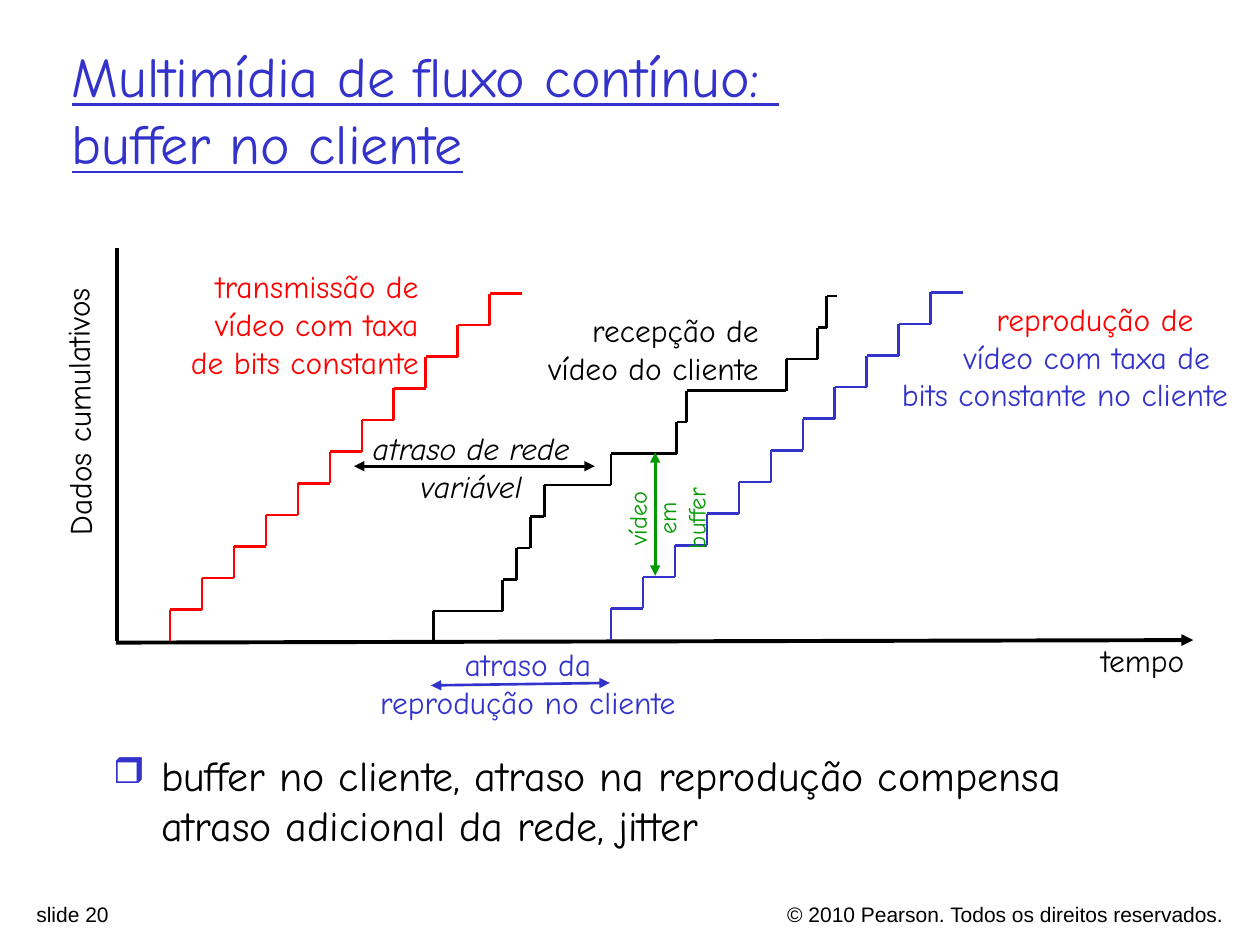
from lxml.etree import SubElement
from pptx import Presentation
from pptx.dml.color import RGBColor
from pptx.enum.shapes import MSO_CONNECTOR
from pptx.enum.text import MSO_ANCHOR, MSO_AUTO_SIZE, PP_ALIGN
from pptx.oxml.ns import qn
from pptx.util import Inches, Pt

BLACK, RED, BLUE, GREEN = "000000", "FF0000", "3333CC", "009900"
STEPS = 11


def paint(color):
    return RGBColor.from_string(color)


def write(para, text, size=18, color=BLACK, font="Comic Neue", align=PP_ALIGN.LEFT,
          italic=False, under=False, indent=0):
    para.text = text
    para.alignment = align
    if indent:
        para._p.get_or_add_pPr().set("marL", str(Inches(indent)))
    for run in para.runs:
        face = run.font
        face.name, face.size = font, Pt(size)
        face.italic, face.underline = italic, under
        face.color.rgb = paint(color)


def label(slide, area, *lines, wrap=False, angle=0, **style):
    box = slide.shapes.add_textbox(*map(Inches, area))
    box.rotation = angle
    frame = box.text_frame
    frame.word_wrap = wrap
    frame.auto_size = MSO_AUTO_SIZE.SHAPE_TO_FIT_TEXT
    for i, line in enumerate(lines):
        para = frame.add_paragraph() if i else frame.paragraphs[0]
        write(para, line, **style)
    return frame


def stroke(shapes, start, end, color=BLACK, width=1.5, tips=()):
    line = shapes.add_connector(MSO_CONNECTOR.STRAIGHT, *map(Inches, start + end))
    line.line.color.rgb = paint(color)
    line.line.width = Pt(width)
    for tip in tips:
        SubElement(line.line._ln, qn(f"a:{tip}End"), type="triangle")
    SubElement(line._element.spPr, qn("a:effectLst"))


def stairs(slide, marks, base, top, color):
    shapes = slide.shapes.add_group_shape().shapes
    rise = (base - top) / STEPS
    for i, (left, right) in enumerate(zip(marks, marks[1:])):
        low = base - i * rise
        high = low - rise
        stroke(shapes, (left, high), (left, low), color)
        stroke(shapes, (right, high), (left, high), color)


def even(first, last):
    return [first + (last - first) * i / STEPS for i in range(STEPS + 1)]


def head(slide):
    title = slide.shapes.title
    title.left, title.top, title.width, title.height = map(Inches, (0.47, 0.39, 8.93, 0.95))
    frame = title.text_frame
    frame.auto_size = MSO_AUTO_SIZE.NONE
    frame.vertical_anchor = MSO_ANCHOR.MIDDLE
    write(frame.paragraphs[0], "Multimídia de fluxo contínuo: \nbuffer no cliente",
          size=32, color=BLUE, under=True)


def bullet(slide):
    frame = label(slide, (0.8, 5.9, 8.5, 0.97), wrap=True)
    para = frame.paragraphs[0]
    props = para._p.get_or_add_pPr()
    props.set("marL", str(Inches(0.38)))
    props.set("indent", str(Inches(-0.38)))
    SubElement(SubElement(props, qn("a:buClr")), qn("a:srgbClr"), val=BLUE)
    SubElement(props, qn("a:buSzPct"), val="85000")
    SubElement(props, qn("a:buChar"), char="❒")
    write(para, "buffer no cliente, atraso na reprodução compensa "
          "atraso adicional da rede, jitter", size=24)


def chart(slide):
    shapes = slide.shapes
    both = ("head", "tail")
    mid, right = PP_ALIGN.CENTER, PP_ALIGN.RIGHT

    stroke(shapes, (0.93, 1.97), (0.93, 5.09), width=2.25)
    stroke(shapes, (9.47, 5.08), (0.92, 5.1), width=2.25, tips=("head",))
    label(slide, (-0.63, 2.9, 2.5, 0.4), "Dados cumulativos", wrap=True, angle=269.4)
    label(slide, (8.64, 5.04, 0.87, 0.4), "tempo")

    label(slide, (0.95, 2.07, 2.47, 1), "transmissão de\nvídeo com taxa\nde bits constante",
          wrap=True, color=RED, align=right)
    stairs(slide, even(1.35, 4.14), 5.09, 2.33, RED)

    times = [3.44, 3.99, 4.1, 4.21, 4.32, 4.85, 5.37, 5.45, 6.24, 6.49, 6.56, 6.64]
    stairs(slide, times, 5.1, 2.35, BLACK)
    label(slide, (4.25, 2.42, 1.87, 0.7), "recepção de\nvídeo do cliente", align=right)
    label(slide, (2.85, 3.36, 1.78, 0.7), "atraso de rede", "variável", align=mid, italic=True)
    stroke(shapes, (2.81, 3.7), (4.72, 3.7), tips=both)

    stairs(slide, even(4.85, 7.64), 5.08, 2.32, BLUE)
    frame = label(slide, (7.06, 2.33, 2.9, 1), "reprodução de",
                  wrap=True, color=RED, indent=0.75)
    write(frame.add_paragraph(), "vídeo com taxa de", color=BLUE, indent=0.49)
    write(frame.add_paragraph(), "bits constante no cliente", color=BLUE)
    label(slide, (2.91, 5.07, 2.56, 0.7), "atraso da\nreprodução no cliente",
          color=BLUE, align=mid)
    stroke(shapes, (3.42, 5.44), (4.84, 5.42), BLUE, tips=both)

    stroke(shapes, (5.2, 4.57), (5.2, 3.59), GREEN, tips=both)
    label(slide, (4.7, 3.83, 0.95, 0.57), "vídeo em", "buffer",
          angle=270, size=14, color=GREEN, align=mid)


def main():
    deck = Presentation()
    deck.slide_width, deck.slide_height = Inches(10), Inches(7.5)
    slide = deck.slides.add_slide(deck.slide_layouts[5])
    head(slide)
    chart(slide)
    bullet(slide)
    foot = dict(wrap=True, size=12, font="Arial")
    label(slide, (0.19, 7.11, 3.52, 0.24), "slide 20", **foot)
    label(slide, (4.7, 7.11, 5.11, 0.24), "© 2010 Pearson. Todos os direitos reservados.",
          align=PP_ALIGN.RIGHT, **foot)
    deck.save("out.pptx")


if __name__ == "__main__":
    main()
